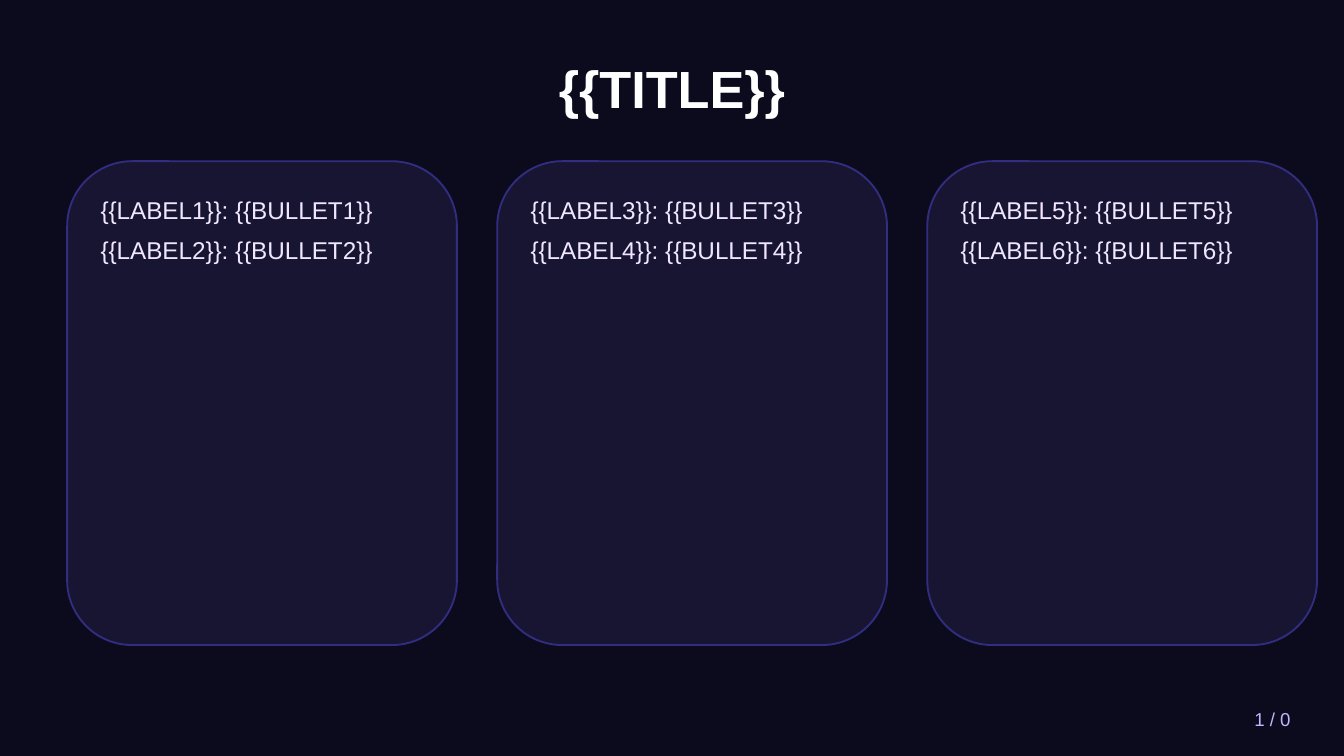
from dataclasses import dataclass

import lxml.etree
import pptx
import pptx.dml.color
import pptx.enum.shapes
import pptx.enum.text
import pptx.oxml.ns
import pptx.shapes.autoshape
import pptx.slide
import pptx.util

SLIDE_WIDTH = 10
SLIDE_HEIGHT = SLIDE_WIDTH * 9 / 16
CARD_LEFT = 0.5
CARD_TOP = 1.2
CARD_WIDTH = 2.9
CARD_HEIGHT = 3.6
CARD_GAP = 0.3
PADDING_X = 0.15
PADDING_Y = 0.2

Align = pptx.enum.text.PP_ALIGN
Anchor = pptx.enum.text.MSO_ANCHOR


@dataclass(frozen=True)
class Box:
    left: float
    top: float
    width: float
    height: float

    def inset(self, horizontal: float, vertical: float) -> "Box":
        return Box(
            self.left + horizontal,
            self.top + vertical,
            self.width - 2 * horizontal,
            self.height - 2 * vertical,
        )

    def lengths(self) -> list[pptx.util.Length]:
        return [pptx.util.Inches(value) for value in (self.left, self.top, self.width, self.height)]


@dataclass(frozen=True)
class TextStyle:
    size: float
    color: str
    bold: bool = False
    align: Align = Align.LEFT
    anchor: Anchor = Anchor.TOP
    space_after: float = 0


@dataclass(frozen=True)
class Card:
    column: int
    lines: tuple[str, ...]

    def box(self) -> Box:
        left = CARD_LEFT + self.column * (CARD_WIDTH + CARD_GAP)
        return Box(left, CARD_TOP, CARD_WIDTH, CARD_HEIGHT)


TITLE = TextStyle(28, "FFFFFF", bold=True, align=Align.CENTER, anchor=Anchor.MIDDLE)
BODY = TextStyle(13, "F0E6FF", space_after=6)
PAGE_NUMBER = TextStyle(10, "C4B5FD", align=Align.RIGHT, anchor=Anchor.MIDDLE)

CARDS = [
    Card(0, ("{{LABEL1}}: {{BULLET1}}", "{{LABEL2}}: {{BULLET2}}")),
    Card(1, ("{{LABEL3}}: {{BULLET3}}", "{{LABEL4}}: {{BULLET4}}")),
    Card(2, ("{{LABEL5}}: {{BULLET5}}", "{{LABEL6}}: {{BULLET6}}")),
]


def rgb(value: str) -> pptx.dml.color.RGBColor:
    return pptx.dml.color.RGBColor.from_string(value)


def set_fill_opacity(shape: pptx.shapes.autoshape.Shape, percent: int) -> None:
    fill = shape.element.spPr.find(pptx.oxml.ns.qn("a:solidFill"))
    color = fill.find(pptx.oxml.ns.qn("a:srgbClr"))
    alpha = lxml.etree.SubElement(color, pptx.oxml.ns.qn("a:alpha"))
    alpha.set("val", str(percent * 1000))


def add_text(slide: pptx.slide.Slide, box: Box, lines: tuple[str, ...], style: TextStyle) -> None:
    frame = slide.shapes.add_textbox(*box.lengths()).text_frame
    frame.word_wrap = True
    frame.vertical_anchor = style.anchor
    for index, line in enumerate(lines):
        paragraph = frame.add_paragraph() if index else frame.paragraphs[0]
        paragraph.alignment = style.align
        paragraph.space_after = pptx.util.Pt(style.space_after)
        run = paragraph.add_run()
        run.text = line
        run.font.name = "Arial"
        run.font.size = pptx.util.Pt(style.size)
        run.font.bold = style.bold
        run.font.color.rgb = rgb(style.color)


def add_card(slide: pptx.slide.Slide, card: Card) -> None:
    box = card.box()
    shape = slide.shapes.add_shape(
        pptx.enum.shapes.MSO_SHAPE.ROUNDED_RECTANGLE, *box.lengths()
    )
    shape.shadow.inherit = False
    shape.fill.solid()
    shape.fill.fore_color.rgb = rgb("1A1735")
    set_fill_opacity(shape, 90)
    shape.line.color.rgb = rgb("312E81")
    shape.line.width = pptx.util.Pt(1)
    add_text(slide, box.inset(PADDING_X, PADDING_Y), card.lines, BODY)


def main() -> None:
    presentation = pptx.Presentation()
    presentation.slide_width = pptx.util.Inches(SLIDE_WIDTH)
    presentation.slide_height = pptx.util.Inches(SLIDE_HEIGHT)
    slide = presentation.slides.add_slide(presentation.slide_layouts[6])
    slide.background.fill.solid()
    slide.background.fill.fore_color.rgb = rgb("0C0A1D")

    title_box = Box(CARD_LEFT, 0.3, SLIDE_WIDTH - 2 * CARD_LEFT, 0.7)
    add_text(slide, title_box, ("{{TITLE}}",), TITLE)
    for card in CARDS:
        add_card(slide, card)
    add_text(slide, Box(8.5, 5.2, 1.2, 0.3), ("1 / 0",), PAGE_NUMBER)

    presentation.save("out.pptx")


if __name__ == "__main__":
    main()
